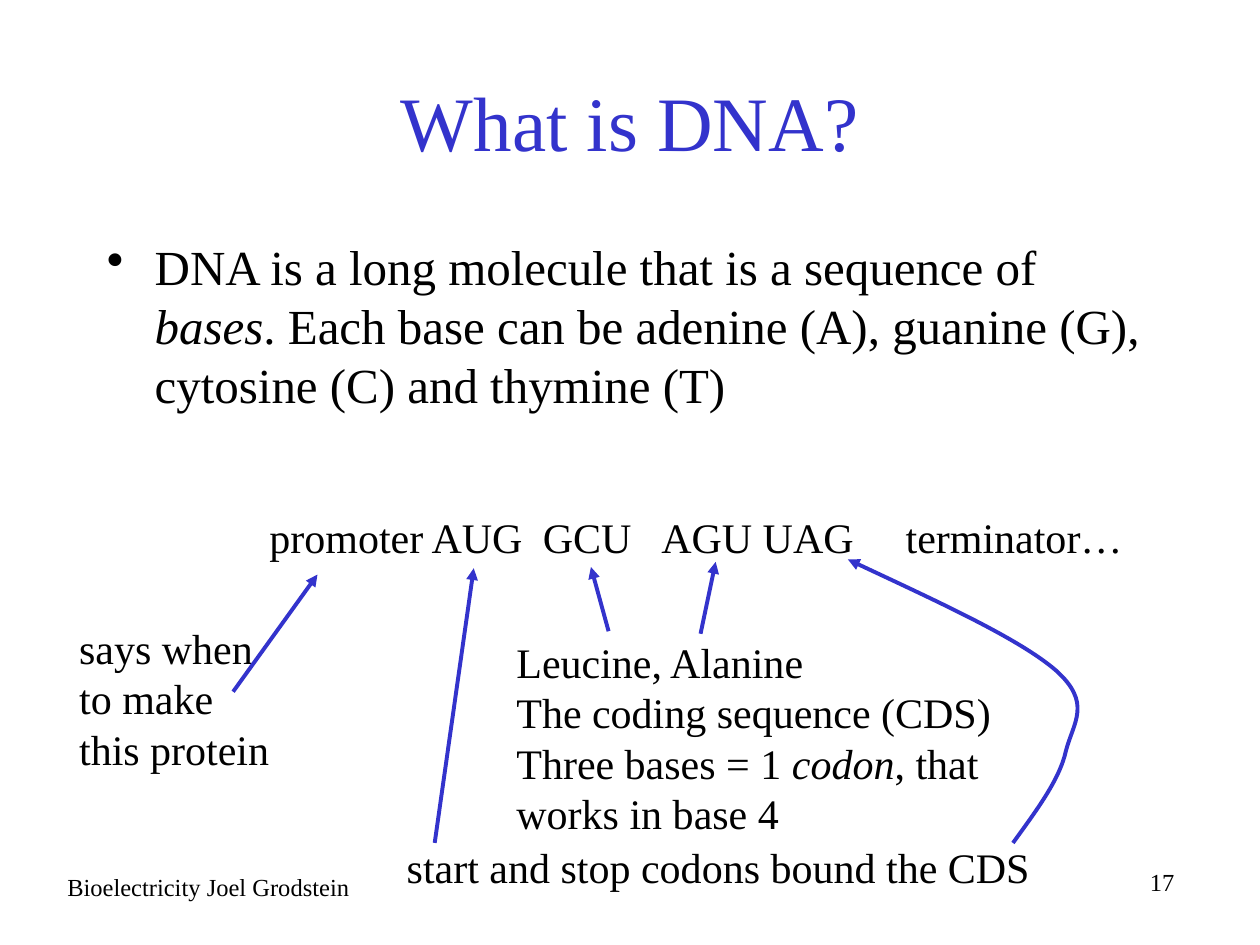
from dataclasses import dataclass

from lxml import etree
from pptx import Presentation
from pptx.dml.color import RGBColor
from pptx.enum.shapes import MSO_CONNECTOR
from pptx.enum.text import MSO_ANCHOR, PP_ALIGN
from pptx.oxml.ns import qn
from pptx.util import Inches, Pt

STRAIGHT = MSO_CONNECTOR.STRAIGHT
TOP, MIDDLE = MSO_ANCHOR.TOP, MSO_ANCHOR.MIDDLE
LEFT, CENTER, RIGHT = PP_ALIGN.LEFT, PP_ALIGN.CENTER, PP_ALIGN.RIGHT
WIDTH, HEIGHT = Inches(10), Inches(7.5)
COLUMNS, ROWS = 100, 75
FONT = "Times New Roman"
BLACK, BLUE = "000000", "3333CC"

Point = tuple[float, float]


@dataclass(frozen=True)
class Label:
    area: tuple[float, float, float, float]
    paragraphs: tuple[str, ...]
    size: int = 24
    color: str = BLACK
    align: PP_ALIGN = LEFT
    anchor: MSO_ANCHOR = TOP
    bullet: bool = False
    tabs: tuple[float, ...] = ()


@dataclass(frozen=True)
class Arrow:
    start: Point
    end: Point


LABELS = (
    Label((62.5, 68.3, 31.7, 5), ("17",), 14, align=RIGHT),
    Label((7.5, 3.3, 85, 12.5), ("What is DNA?",), 44, BLUE, CENTER, MIDDLE),
    Label((7.5, 18.3, 85, 16.9),
          ("DNA is a long molecule that is a sequence of *bases*. Each base can be "
           "adenine (A), guanine (G), cytosine (C) and thymine (T)",), 28, bullet=True),
    Label((0.7, 68.7, 31.7, 5), ("Bioelectricity Joel Grodstein",), 14, align=CENTER),
    Label((20.4, 40.1, 77, 5), ("promoter AUG\tGCU\tAGU UAG\tterminator…",),
          tabs=(21.7, 31.1, 50.5)),
    Label((31.3, 66.3, 57, 5), ("start and stop codons bound the CDS",)),
    Label((40, 50, 44.8, 17.2),
          ("Leucine, Alanine", "The coding sequence (CDS)",
           "Three bases = 1 *codon*, that works in base 4")),
    Label((5.3, 48.9, 18, 13.1), ("says when to make this protein",)),
)
ARROWS = (
    Arrow((34.5, 66.9), (37.6, 45.1)),
    Arrow((48.3, 50.1), (46.9, 45)),
    Arrow((55.6, 50.3), (56.8, 44.6)),
    Arrow((18.5, 54.9), (25.2, 45.6)),
)
STOP_CURVE = (
    (80.4, 66.9), (82.2, 64.4), (84.1, 61.9), (84.6, 59.6), (85.2, 57.3),
    (86.7, 55.8), (83.8, 53.2), (80.9, 50.7), (74.1, 47.6), (67.3, 44.4),
)


def rgb(value: str) -> RGBColor:
    return RGBColor.from_string(value)


def across(columns: float) -> int:
    return round(WIDTH * columns / COLUMNS)


def down(rows: float) -> int:
    return round(HEIGHT * rows / ROWS)


def add_bullet(para) -> None:
    properties = para._p.get_or_add_pPr()
    properties.set("marL", str(across(3.8)))
    properties.set("indent", str(-across(3.8)))
    etree.SubElement(properties, qn("a:buChar"), char="•")


def add_tabs(para, stops: tuple[float, ...]) -> None:
    tab_list = etree.SubElement(para._p.get_or_add_pPr(), qn("a:tabLst"))
    for stop in stops:
        etree.SubElement(tab_list, qn("a:tab"), pos=str(across(stop)), algn="l")


def draw_label(slide, label: Label) -> None:
    left, top, width, height = label.area
    box = slide.shapes.add_textbox(across(left), down(top), across(width), down(height))
    frame = box.text_frame
    frame.word_wrap = True
    frame.vertical_anchor = label.anchor
    for index, text in enumerate(label.paragraphs):
        para = frame.add_paragraph() if index else frame.paragraphs[0]
        para.alignment = label.align
        if label.bullet:
            add_bullet(para)
        if label.tabs:
            add_tabs(para, label.tabs)
        para.font.name = FONT
        para.font.size = Pt(label.size)
        para.font.color.rgb = rgb(label.color)
        for position, part in enumerate(text.split("*")):
            span = para.add_run()
            span.text = part
            if position % 2:
                span.font.italic = True


def style_arrow(shape, weight: float) -> None:
    shape.line.color.rgb = rgb(BLUE)
    shape.line.width = Pt(weight)
    etree.SubElement(shape.line._get_or_add_ln(), qn("a:tailEnd"), type="triangle")


def draw_arrow(slide, arrow: Arrow) -> None:
    (start_x, start_y), (end_x, end_y) = arrow.start, arrow.end
    connector = slide.shapes.add_connector(
        STRAIGHT, across(start_x), down(start_y), across(end_x), down(end_y))
    style_arrow(connector, 2.25)
    etree.SubElement(connector._element.spPr, qn("a:effectLst"))


def draw_curve(slide, points: tuple[Point, ...]) -> None:
    start, *controls = [(across(x), down(y)) for x, y in points]
    builder = slide.shapes.build_freeform(*start)
    builder.add_line_segments(controls, close=False)
    curve = builder.convert_to_shape()
    curve.shadow.inherit = False
    curve.fill.background()
    style_arrow(curve, 2.25)
    outline = next(curve._element.iter(qn("a:path")))
    segments = outline.findall(qn("a:lnTo"))
    for first in range(0, len(segments), 3):
        bezier = etree.SubElement(outline, qn("a:cubicBezTo"))
        for segment in segments[first:first + 3]:
            bezier.append(segment[0])
            outline.remove(segment)


def main() -> None:
    deck = Presentation()
    deck.slide_width, deck.slide_height = WIDTH, HEIGHT
    page = deck.slides.add_slide(deck.slide_layouts[6])
    for label in LABELS:
        draw_label(page, label)
    for arrow in ARROWS:
        draw_arrow(page, arrow)
    draw_curve(page, STOP_CURVE)
    deck.save("out.pptx")


if __name__ == "__main__":
    main()
